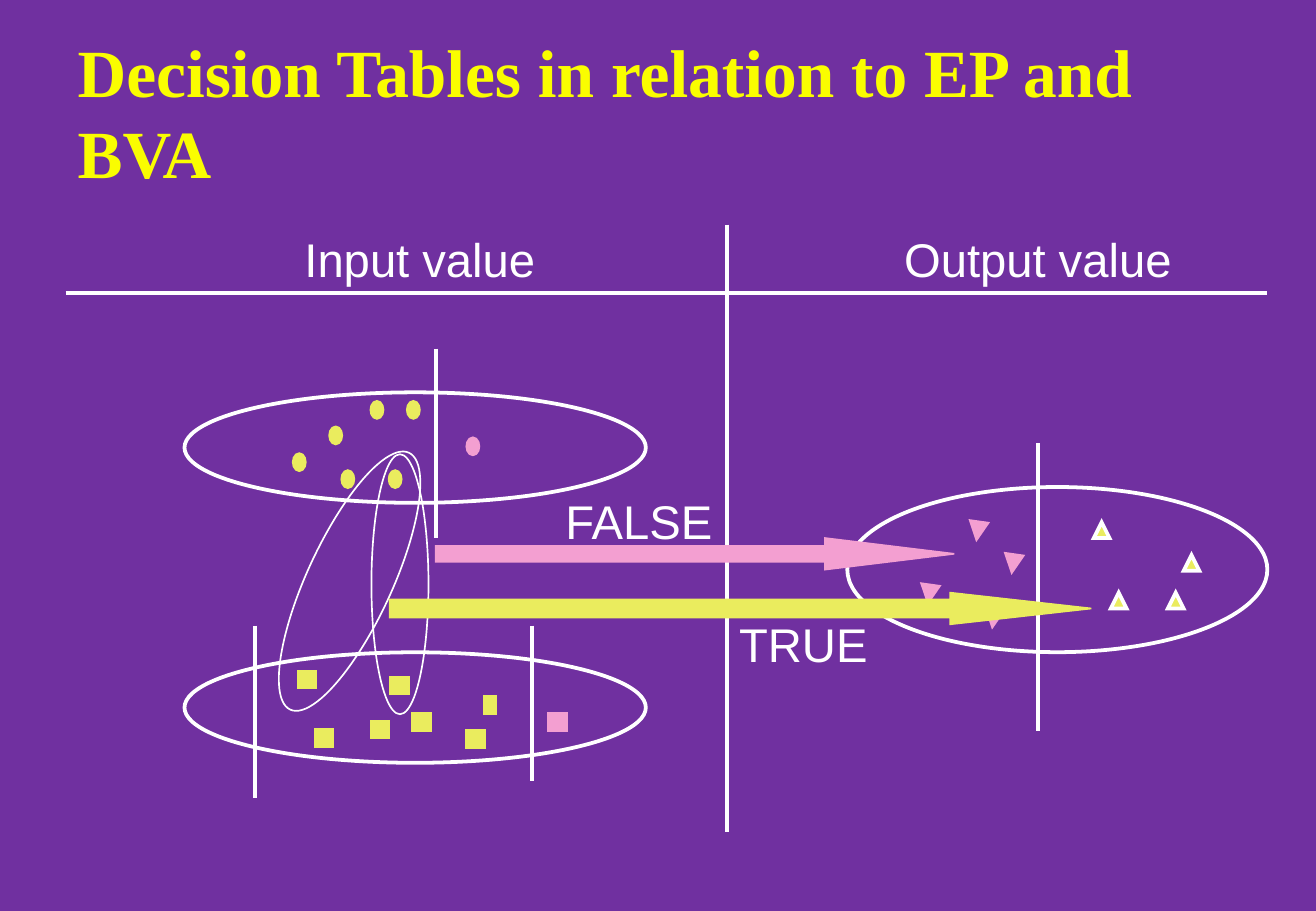
import pptx
import pptx.util
import pptx.dml.color
import pptx.enum.shapes
import pptx.enum.text
import pptx.oxml.ns
import lxml.etree

Inches = pptx.util.Inches
Pt = pptx.util.Pt
SHAPE = pptx.enum.shapes.MSO_SHAPE
COLOURS = {
    "background": "7030A0",
    "title": "FAFD00",
    "white": "FFFFFF",
    "yellow": "EAEC5E",
    "pink": "F39FD1",
}
THICK = 2.24
THIN = 1

INPUT_DOTS = [(3.06, 3.31), (2.42, 3.74), (3.36, 3.31),
              (2.82, 3.88), (2.72, 3.52), (3.21, 3.88)]
INPUT_SQUARES = [(2.46, 5.53), (3.06, 5.94), (3.85, 6.02),
                 (3.4, 5.88), (2.6, 6.01), (3.22, 5.58)]
FALSE_OUTPUTS = [(7.59, 4.82), (8.12, 5.02), (8.28, 4.57), (7.99, 4.3)]
TRUE_OUTPUTS = [(9.15, 4.88), (9.62, 4.88), (9.75, 4.57), (9.01, 4.3)]


def colour(name):
    return pptx.dml.color.RGBColor.from_string(COLOURS[name])


def write_text(frame, text, size=28, font="Arial", ink="white", bold=False):
    para = frame.paragraphs[0]
    para.alignment = pptx.enum.text.PP_ALIGN.LEFT
    span = para.add_run()
    span.text = text
    span.font.size = Pt(size)
    span.font.name = font
    span.font.bold = bold
    span.font.color.rgb = colour(ink)


def add_title(page, text):
    title = page.shapes.title
    title.left, title.top = Inches(0.54), Inches(0.58)
    title.width, title.height = Inches(9.21), Inches(0.67)
    frame = title.text_frame
    frame.word_wrap = True
    frame.auto_size = pptx.enum.text.MSO_AUTO_SIZE.NONE
    frame.vertical_anchor = pptx.enum.text.MSO_ANCHOR.MIDDLE
    write_text(frame, text, size=40, font="Times New Roman", ink="title", bold=True)


def add_label(page, text, left, top, width):
    box = page.shapes.add_textbox(Inches(left), Inches(top), Inches(width), Inches(0.57))
    box.text_frame.word_wrap = False
    box.text_frame.auto_size = pptx.enum.text.MSO_AUTO_SIZE.SHAPE_TO_FIT_TEXT
    write_text(box.text_frame, text)


def add_figure(page, kind, left, top, width, height,
               fill=None, line="white", weight=THICK, rotation=0):
    figure = page.shapes.add_shape(
        kind, Inches(left), Inches(top), Inches(width), Inches(height))
    figure.shadow.inherit = False
    figure.rotation = rotation
    if fill:
        figure.fill.solid()
        figure.fill.fore_color.rgb = colour(fill)
    else:
        figure.fill.background()
    figure.line.color.rgb = colour(line)
    figure.line.width = Pt(weight)
    outline = figure._element.spPr.find(pptx.oxml.ns.qn("a:ln"))
    lxml.etree.SubElement(outline, pptx.oxml.ns.qn("a:miter"), lim="800000")
    return figure


def add_markers(page, kind, places, width, fill, line=None, rotation=0):
    for left, top in places:
        add_figure(page, kind, left, top, width, 0.13,
                   fill=fill, line=line or fill, rotation=rotation)


def add_line(page, x1, y1, x2, y2):
    line = page.shapes.add_connector(
        pptx.enum.shapes.MSO_CONNECTOR.STRAIGHT,
        Inches(x1), Inches(y1), Inches(x2), Inches(y2))
    line.line.color.rgb = colour("white")
    line.line.width = Pt(THICK)
    lxml.etree.SubElement(line._element.spPr, pptx.oxml.ns.qn("a:effectLst"))


def add_arrow(page, left, top, width, fill, shaft, head):
    arrow = add_figure(page, SHAPE.RIGHT_ARROW, left, top, width, 0.26,
                       fill=fill, line=fill, weight=THIN)
    arrow.adjustments[0] = shaft
    arrow.adjustments[1] = head


def add_output_set(page):
    add_markers(page, SHAPE.ISOSCELES_TRIANGLE, FALSE_OUTPUTS, 0.13, "pink", rotation=188)
    add_figure(page, SHAPE.OVAL, 6.98, 4.01, 3.46, 1.36)
    add_line(page, 8.55, 3.65, 8.55, 6.02)
    add_markers(page, SHAPE.ISOSCELES_TRIANGLE, TRUE_OUTPUTS, 0.13, "yellow", line="white")


def add_input_set(page, top, dividers, kind, width, valid, invalid):
    add_figure(page, SHAPE.OVAL, 1.52, top, 3.8, 0.91)
    for x, start, end in dividers:
        add_line(page, x, start, x, end)
    add_markers(page, kind, valid, width, "yellow")
    add_markers(page, kind, [invalid], width, "pink")


def main():
    deck = pptx.Presentation()
    deck.slide_width, deck.slide_height = Inches(10.84), Inches(7.5)
    page = deck.slides.add_slide(deck.slide_layouts[5])
    page.background.fill.solid()
    page.background.fill.fore_color.rgb = colour("background")

    add_title(page, "Decision Tables in relation to EP and BVA")
    add_output_set(page)
    add_line(page, 5.99, 1.85, 5.99, 6.85)
    add_input_set(page, 3.23, [(3.59, 2.87, 4.43)],
                  SHAPE.OVAL, 0.09, INPUT_DOTS, (3.85, 3.61))
    add_label(page, "Input value", 2.41, 1.85, 2.1)
    add_label(page, "Output value", 7.35, 1.85, 2.4)
    add_input_set(page, 5.37, [(4.38, 5.15, 6.43), (2.1, 5.15, 6.57)],
                  SHAPE.RECTANGLE, 0.14, INPUT_SQUARES, (4.52, 5.88))
    add_markers(page, SHAPE.RECTANGLE, [(3.99, 5.74)], 0.09, "yellow")

    add_figure(page, SHAPE.OVAL, 3.06, 3.74, 0.47, 2.14, weight=THIN)
    add_arrow(page, 3.59, 4.43, 4.27, "pink", shaft=0.5, head=4.1)
    add_label(page, "FALSE", 4.56, 4, 1.43)
    add_figure(page, SHAPE.OVAL, 2.53, 3.62, 0.7, 2.33, weight=THIN, rotation=24.8)
    add_line(page, 0.54, 2.41, 10.44, 2.41)
    add_arrow(page, 3.21, 4.88, 5.78, "yellow", shaft=0.57, head=4.47)
    add_label(page, "TRUE", 5.99, 5.02, 1.28)
    deck.save("out.pptx")


main()
